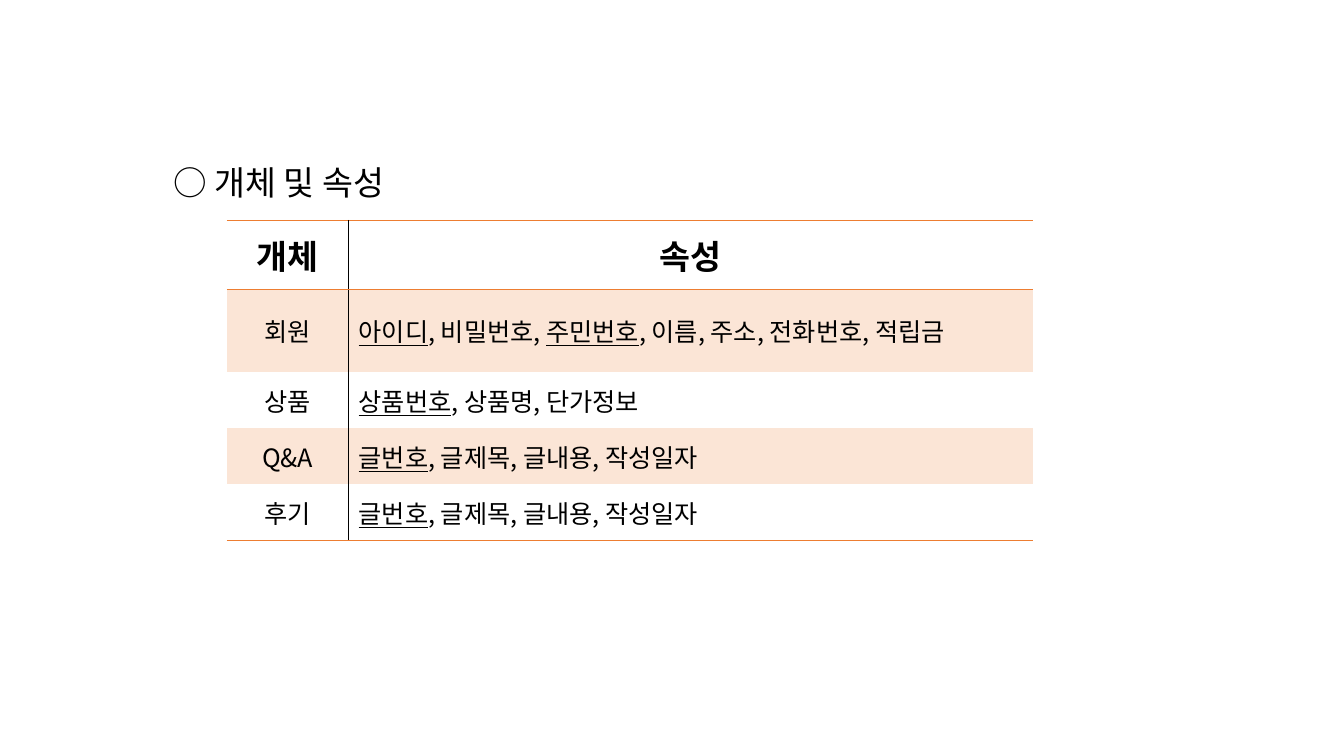
from dataclasses import dataclass

from lxml import etree
from pptx import Presentation
from pptx.dml.color import RGBColor
from pptx.enum.text import MSO_ANCHOR, MSO_AUTO_SIZE, PP_ALIGN
from pptx.oxml.ns import qn
from pptx.util import Pt

CENTER, LEFT, JUSTIFY = PP_ALIGN.CENTER, PP_ALIGN.LEFT, PP_ALIGN.JUSTIFY
MIDDLE, TOP = MSO_ANCHOR.MIDDLE, MSO_ANCHOR.TOP
NO_AUTOFIT = MSO_AUTO_SIZE.NONE


@dataclass(frozen=True)
class Theme:
    font: str = "Noto Sans CJK KR"
    heading: int = 24
    body: int = 18
    ink: str = "000000"
    accent: str = "ED7D31"
    band: str = "FBE5D6"
    plain_table: str = "{2D5ABB26-0587-4C30-8999-92F81FD0307C}"


theme = Theme()


def write(paragraph, spans, size, align, bold=False):
    """Fill a paragraph with (text, underlined) spans in the theme font."""
    paragraph.alignment = align
    font = paragraph.font
    font.name, font.size, font.bold = theme.font, Pt(size), bold
    font.color.rgb = RGBColor.from_string(theme.ink)
    for text, underlined in spans:
        span = paragraph.add_run()
        span.text = text
        span.font.underline = underlined
        # Korean text takes the East Asian typeface
        east_asian = etree.SubElement(span.font._element, qn("a:ea"))
        east_asian.set("typeface", theme.font)


def add_border(cell, side, color):
    """Draw a one-point line on a cell side: lnL, lnR, lnT or lnB, in that order."""
    line = etree.SubElement(cell._tc.get_or_add_tcPr(), qn(f"a:{side}"), w=str(Pt(1)))
    fill = etree.SubElement(line, qn("a:solidFill"))
    etree.SubElement(fill, qn("a:srgbClr"), val=color)


# Page
deck = Presentation()
deck.slide_width, deck.slide_height = Pt(960), Pt(540)
page = deck.slides.add_slide(deck.slide_layouts[5])

# Title
title = page.shapes.title
title.left, title.top, title.width, title.height = Pt(116.6), Pt(95), Pt(332.6), Pt(54)
frame = title.text_frame
frame.word_wrap, frame.auto_size, frame.vertical_anchor = True, NO_AUTOFIT, TOP
frame.paragraphs[0].line_spacing = 1.6
write(frame.paragraphs[0], [("○ 개체 및 속성", False)], theme.heading, JUSTIFY)

# Entities with their attributes; key attributes are underlined
entities = [
    ("개체", [("속성", False)]),
    ("회원", [("아이디", True), (", 비밀번호, ", False), ("주민번호", True),
            (", 이름, 주소, 전화번호, 적립금", False)]),
    ("상품", [("상품번호", True), (", 상품명, 단가정보", False)]),
]
entities += [(name, [("글번호", True), (", 글제목, 글내용, 작성일자", False)])
             for name in ("Q&A", "후기")]

# Table
table_frame = page.shapes.add_table(len(entities), 2, Pt(162), Pt(157.5), Pt(576), Pt(209.5))
table = table_frame.table
table._tbl.tblPr.find(qn("a:tableStyleId")).text = theme.plain_table
table.first_row = table.horz_banding = False
table.columns[0].width, table.columns[1].width = Pt(87), Pt(489)

for row, (name, attributes) in enumerate(entities):
    header, last = row == 0, row == len(entities) - 1
    table.rows[row].height = Pt(49.2 if header else 40)
    for column, spans in enumerate(([(name, False)], attributes)):
        cell = table.cell(row, column)
        cell.vertical_anchor = MIDDLE
        write(cell.text_frame.paragraphs[0], spans,
              theme.heading if header else theme.body,
              CENTER if header or column == 0 else LEFT, bold=header)
        add_border(cell, "lnL" if column else "lnR", theme.ink)
        if header:
            add_border(cell, "lnT", theme.accent)
        if header or last:
            add_border(cell, "lnB", theme.accent)
        if row % 2:
            cell.fill.solid()
            cell.fill.fore_color.rgb = RGBColor.from_string(theme.band)
        else:
            cell.fill.background()

deck.save("out.pptx")
